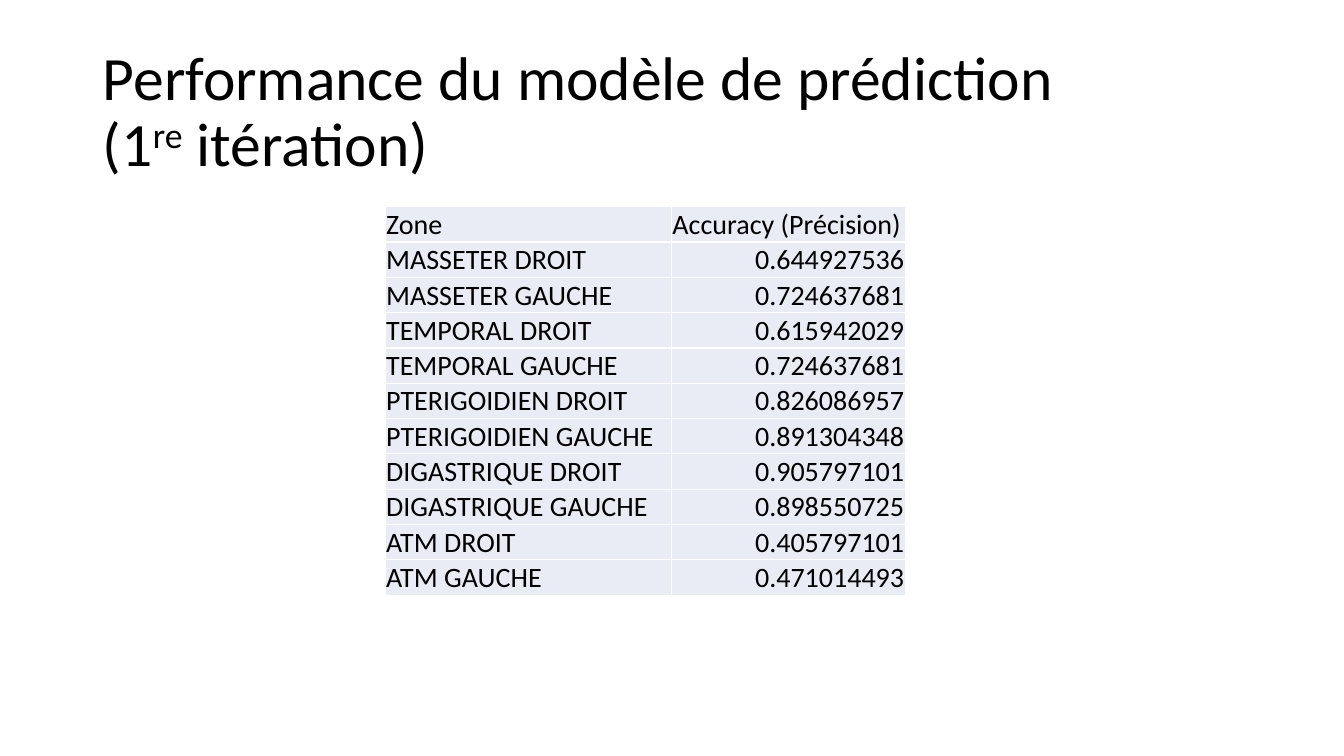
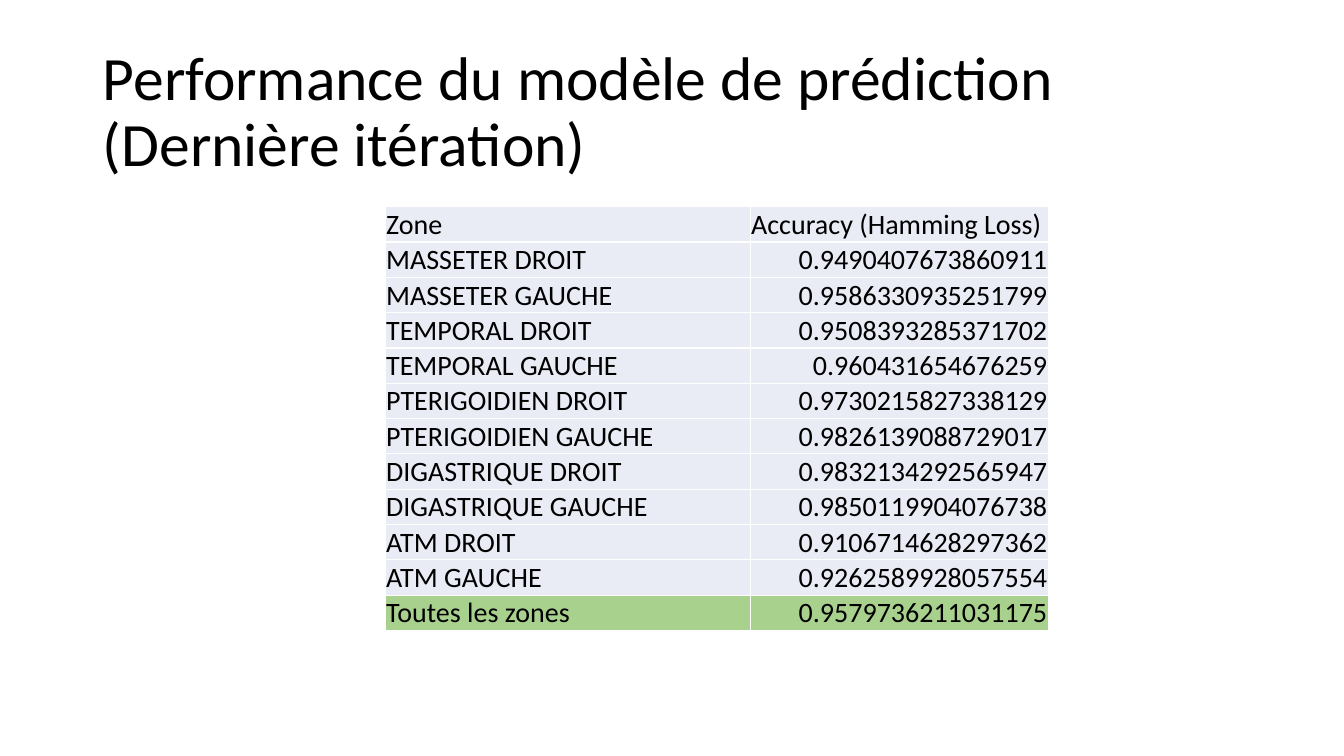
import pptx
import pptx.util
import pptx.dml.color
import pptx.enum.text
import pptx.oxml
import pptx.oxml.ns

COLORS = {"text": "000000", "cell": "E9EBF5", "total": "A9D18E", "border": "FFFFFF"}
FONT = "Calibri"
ALIGN = pptx.enum.text.PP_ALIGN
MIDDLE = pptx.enum.text.MSO_ANCHOR.MIDDLE
INCH = pptx.util.Inches

WIDTH, HEIGHT = 13.33, 7.5
TITLE_BOX = (0.92, 0.4, 11.5, 1.45)
TABLE_LEFT, TABLE_TOP, ROW_HEIGHT = 3.82, 2.05, 0.34
CELL_MARGIN = 0.01

TITLE = "Performance du modèle de prédiction \v"
ZONES = [f"{muscle} {side}"
         for muscle in ("MASSETER", "TEMPORAL", "PTERIGOIDIEN", "DIGASTRIQUE", "ATM")
         for side in ("DROIT", "GAUCHE")]
TOTAL = "Toutes les zones"

SLIDES = [
    {
        "title": [(TITLE + "(1", 0), ("re", 30), (" itération)", 0)],
        "header": ("Zone", "Accuracy (Précision)"),
        "columns": (2.84, 2.32),
        "labels": ZONES,
        "scores": ["0.644927536", "0.724637681", "0.615942029", "0.724637681",
                   "0.826086957", "0.891304348", "0.905797101", "0.898550725",
                   "0.405797101", "0.471014493"],
    },
    {
        "title": [(TITLE + "(Dernière itération)", 0)],
        "header": ("Zone", "Accuracy (Hamming Loss)"),
        "columns": (3.62, 2.96),
        "labels": ZONES + [TOTAL],
        "scores": ["0.9490407673860911", "0.9586330935251799", "0.9508393285371702",
                   "0.960431654676259", "0.9730215827338129", "0.9826139088729017",
                   "0.9832134292565947", "0.9850119904076738", "0.9106714628297362",
                   "0.9262589928057554", "0.9579736211031175"],
    },
]


def rgb(name):
    return pptx.dml.color.RGBColor.from_string(COLORS[name])


def add_text(p, text, size=20, align=ALIGN.LEFT, raised=0):
    p.alignment = align
    for i, line in enumerate(text.split("\v")):
        if i:
            p.add_line_break()
        r = p.add_run()
        r.text = line
        r.font.name = FONT
        r.font.size = pptx.util.Pt(size)
        r.font.color.rgb = rgb("text")
        if raised:
            r._r.get_or_add_rPr().set("baseline", str(raised * 1000))


def add_title(s, runs):
    title = s.shapes.title
    title.left, title.top, title.width, title.height = map(INCH, TITLE_BOX)
    tf = title.text_frame
    tf.word_wrap = True
    tf.auto_size = pptx.enum.text.MSO_AUTO_SIZE.NONE
    tf.vertical_anchor = MIDDLE
    p = tf.paragraphs[0]
    p.line_spacing = 0.9
    for text, raised in runs:
        add_text(p, text, size=44, raised=raised)


def format_cell(cell, fill):
    cell.margin_left = cell.margin_right = cell.margin_top = INCH(CELL_MARGIN)
    cell.margin_bottom = 0
    cell.vertical_anchor = MIDDLE
    tcPr = cell._tc.get_or_add_tcPr()
    for side in "LRTB":
        tcPr.append(pptx.oxml.parse_xml(
            f'<a:ln{side} {pptx.oxml.ns.nsdecls("a")} w="{pptx.util.Pt(1)}"><a:solidFill>'
            f'<a:srgbClr val="{COLORS["border"]}"/></a:solidFill></a:ln{side}>'))
    cell.fill.solid()
    cell.fill.fore_color.rgb = rgb(fill)


def add_score_table(s, header, columns, labels, scores):
    rows = [header, *zip(labels, scores)]
    table = s.shapes.add_table(
        len(rows), len(columns), INCH(TABLE_LEFT), INCH(TABLE_TOP),
        INCH(sum(columns)), INCH(ROW_HEIGHT * len(rows))).table
    table.first_row = table.horz_banding = False
    for column, width in zip(table.columns, columns):
        column.width = INCH(width)
    for i, row in enumerate(rows):
        for j, text in enumerate(row):
            cell = table.cell(i, j)
            format_cell(cell, "total" if row[0] == TOTAL else "cell")
            add_text(cell.text_frame.paragraphs[0], text,
                     align=ALIGN.RIGHT if i and j else ALIGN.LEFT)


def main():
    prs = pptx.Presentation()
    prs.slide_width, prs.slide_height = INCH(WIDTH), INCH(HEIGHT)
    for content in SLIDES:
        s = prs.slides.add_slide(prs.slide_layouts[5])
        add_title(s, content["title"])
        add_score_table(s, content["header"], content["columns"],
                        content["labels"], content["scores"])
    prs.save("out.pptx")


if __name__ == "__main__":
    main()
